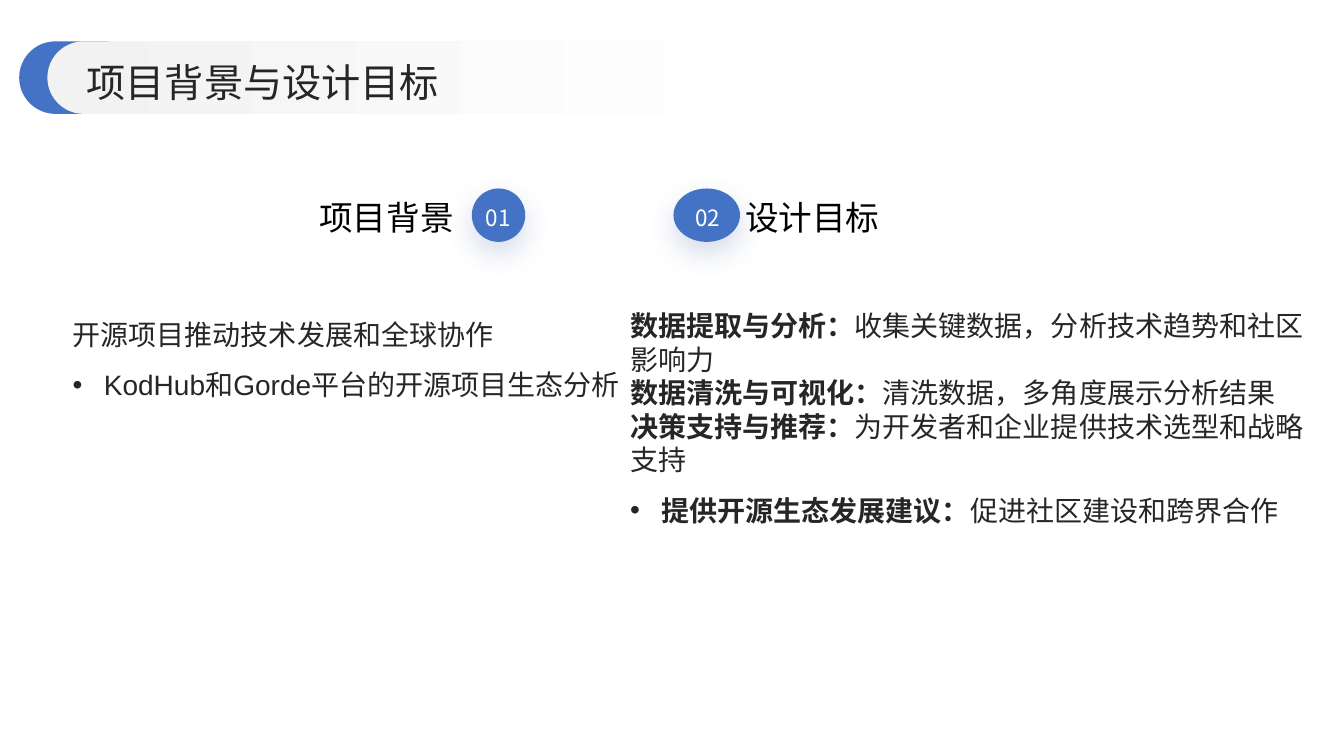
from lxml import etree
from pptx import Presentation
from pptx.dml.color import RGBColor
from pptx.enum.shapes import MSO_SHAPE
from pptx.enum.text import MSO_ANCHOR, PP_ALIGN
from pptx.oxml.ns import qn
from pptx.util import Inches, Pt

COLORS = {"accent": "4472C4", "shadow": "2F5597", "ink": "262626",
          "black": "000000", "white": "FFFFFF", "band": "F2F2F2"}
CJK = "Noto Sans CJK SC"
LATIN = "Arial"

TITLE = "项目背景与设计目标"

# heading, heading box, alignment, number, oval box, number box
SECTIONS = [
    ("项目背景", (0.96, 1.9, 3.54, 0.47), PP_ALIGN.RIGHT,
     "01", (4.68, 1.87, 0.53, 0.53), (4.66, 2, 0.56, 0.28)),
    ("设计目标", (7.39, 1.9, 4.42, 0.47), PP_ALIGN.LEFT,
     "02", (6.68, 1.87, 0.66, 0.53), (6.67, 2, 0.7, 0.28)),
]

# box, Latin font, paragraphs of (bold lead, text); the last one is bulleted
BODIES = [
    ((0.72, 3.15, 5.61, 1.95), LATIN, [
        ("", "开源项目推动技术发展和全球协作"),
        ("", "KodHub和Gorde平台的开源项目生态分析"),
    ]),
    ((6.25, 3.06, 6.94, 3.43), CJK, [
        ("数据提取与分析：", "收集关键数据，分析技术趋势和社区影响力"),
        ("数据清洗与可视化：", "清洗数据，多角度展示分析结果"),
        ("决策支持与推荐：", "为开发者和企业提供技术选型和战略支持"),
        ("提供开源生态发展建议：", "促进社区建设和跨界合作"),
    ]),
]


def rgb(name):
    return RGBColor.from_string(COLORS[name])


def add_shape(kind, box):
    sp = slide.shapes.add_shape(kind, *map(Inches, box))
    sp.shadow.inherit = False
    sp.line.fill.background()
    sp.fill.solid()
    sp.fill.fore_color.rgb = rgb("accent")
    return sp


def add_glow(sp):
    """Give a shape a soft shadow that falls straight down."""
    effects = sp._element.spPr.find(qn("a:effectLst"))
    shadow = etree.SubElement(effects, qn("a:outerShdw"), blurRad=str(Pt(20)),
                              dist=str(Pt(8)), dir="5400000", algn="t", rotWithShape="0")
    color = etree.SubElement(shadow, qn("a:srgbClr"), val=COLORS["shadow"])
    etree.SubElement(color, qn("a:alpha"), val="20000")


def add_frame(box, anchor=MSO_ANCHOR.MIDDLE):
    tf = slide.shapes.add_textbox(*map(Inches, box)).text_frame
    tf.word_wrap = True
    tf.vertical_anchor = anchor
    tf.margin_left = tf.margin_right = tf.margin_top = tf.margin_bottom = 0
    return tf


def add_run(p, text, size, color, bold=False, latin=CJK):
    r = p.add_run()
    r.text = text
    r.font.size = Pt(size)
    r.font.bold = bold
    r.font.name = latin
    r.font.color.rgb = rgb(color)
    etree.SubElement(r._r.get_or_add_rPr(), qn("a:ea"), typeface=CJK)


def add_label(box, text, size, color, align=PP_ALIGN.LEFT):
    p = add_frame(box).paragraphs[0]
    p.alignment = align
    p.line_spacing = 1.1
    add_run(p, text, size, color)


def add_bullet(p):
    pPr = p._p.get_or_add_pPr()
    pPr.set("marL", str(Inches(0.31)))
    pPr.set("indent", str(Inches(-0.31)))
    etree.SubElement(pPr, qn("a:buFont"), typeface=LATIN)
    etree.SubElement(pPr, qn("a:buChar"), char="•")


def add_body(box, latin, paragraphs):
    tf = add_frame(box, MSO_ANCHOR.TOP)
    for i, (lead, text) in enumerate(paragraphs):
        p = tf.add_paragraph() if i else tf.paragraphs[0]
        last = i == len(paragraphs) - 1
        p.line_spacing = 1.5 if last else 1.0
        if last:
            add_bullet(p)
        if lead:
            add_run(p, lead, 20, "ink", True, latin)
        add_run(p, text, 20, "ink", False, latin)


def add_title():
    for box in ((0.19, 0.41, 1.21, 0.72), (0.47, 0.41, 8.94, 0.72)):
        band = add_shape(MSO_SHAPE.ROUNDED_RECTANGLE, box)
        band.adjustments[0] = 0.5
    band.fill.gradient()
    band.fill.gradient_angle = 0
    stops = zip(band.fill.gradient_stops, ((0, "band"), (0.8, "white")))
    for stop, (position, color) in stops:
        stop.position = position
        stop.color.rgb = rgb(color)
    add_label((0.86, 0.53, 11.67, 0.51), TITLE, 28, "ink")


prs = Presentation()
prs.slide_width, prs.slide_height = Inches(13.33), Inches(7.5)
slide = prs.slides.add_slide(prs.slide_layouts[6])

for heading, heading_box, align, number, oval_box, number_box in SECTIONS:
    add_label(heading_box, heading, 24, "black", align)
    add_glow(add_shape(MSO_SHAPE.OVAL, oval_box))
    add_label(number_box, number, 16, "white", PP_ALIGN.CENTER)
for body in BODIES:
    add_body(*body)
add_title()

prs.save("out.pptx")
